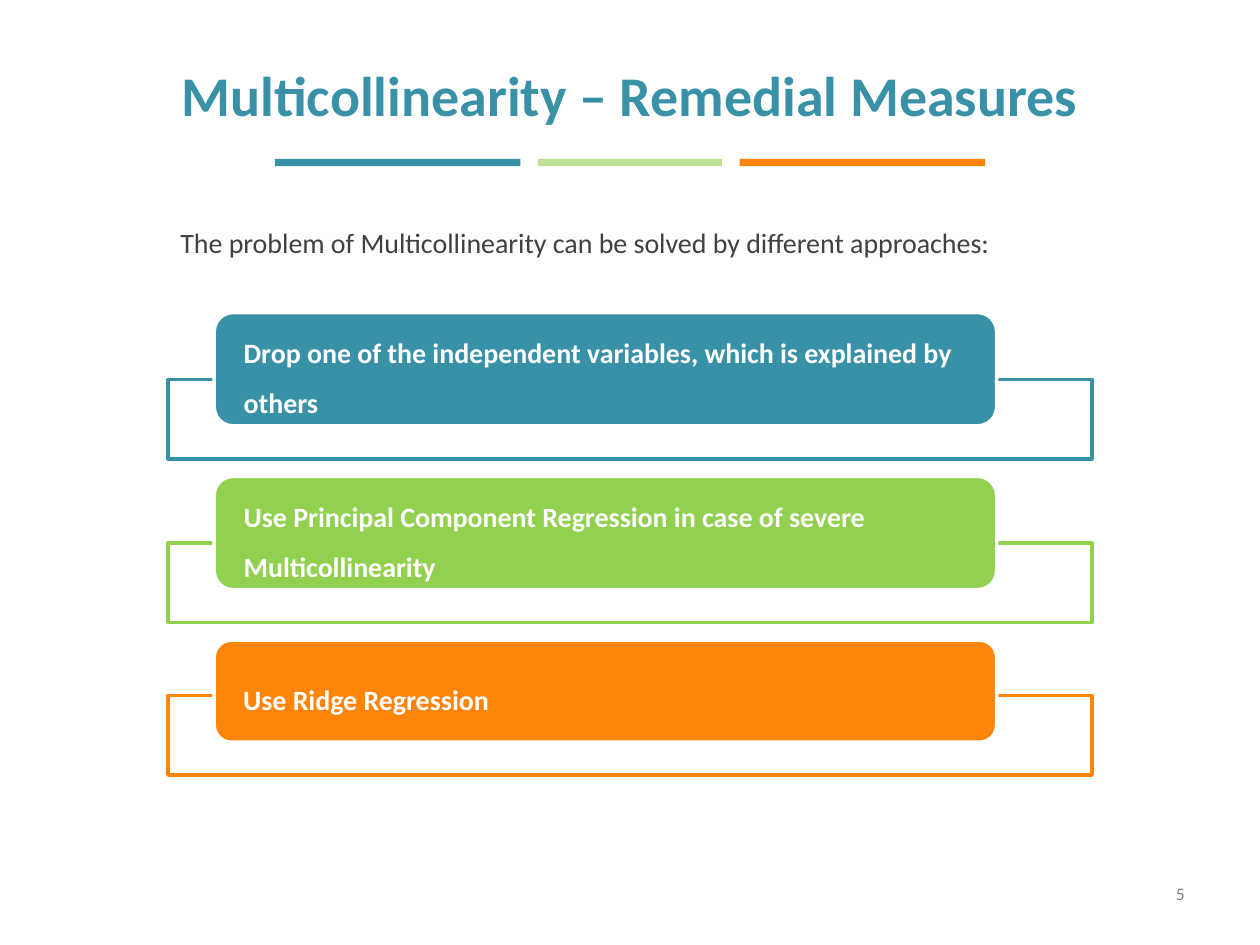
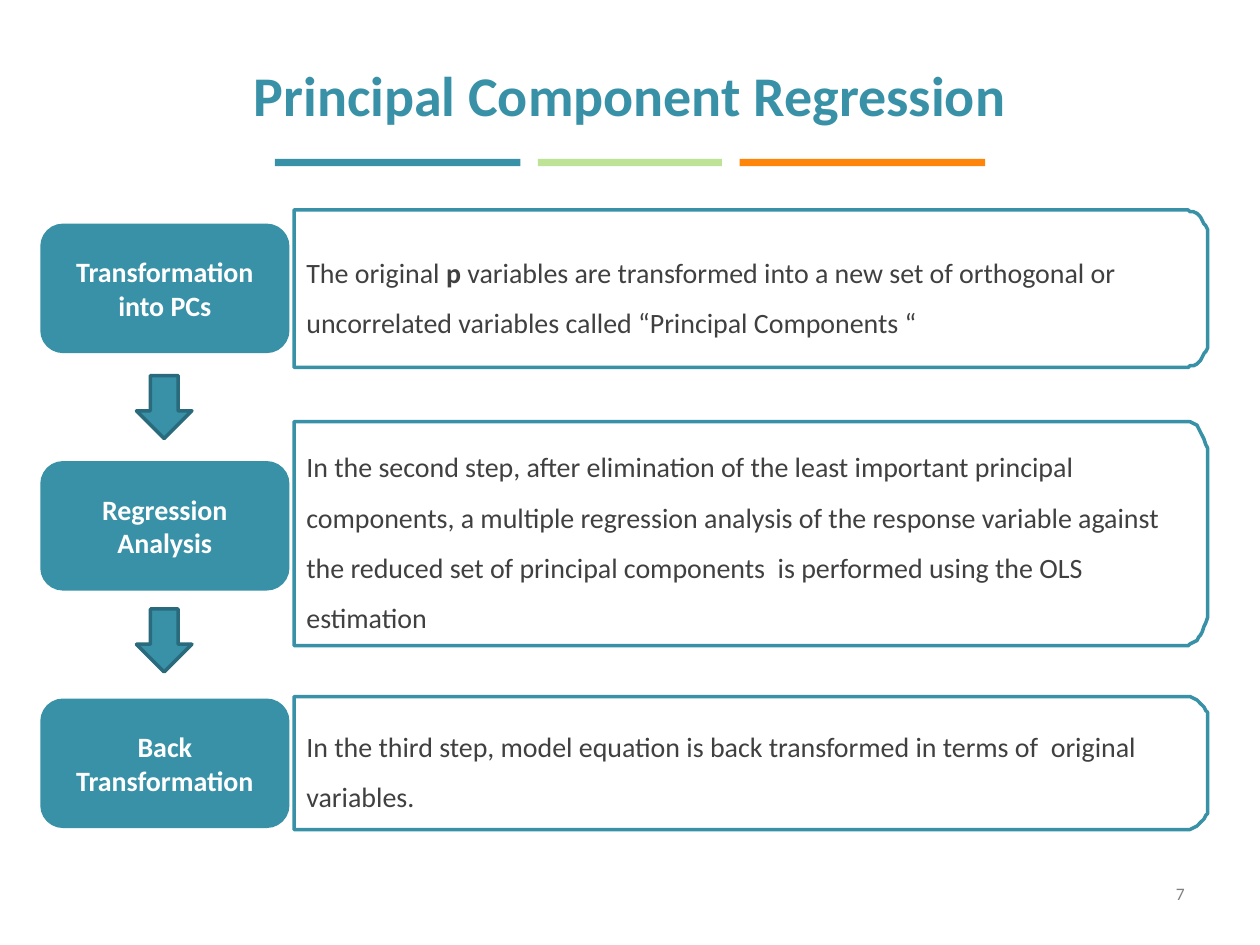
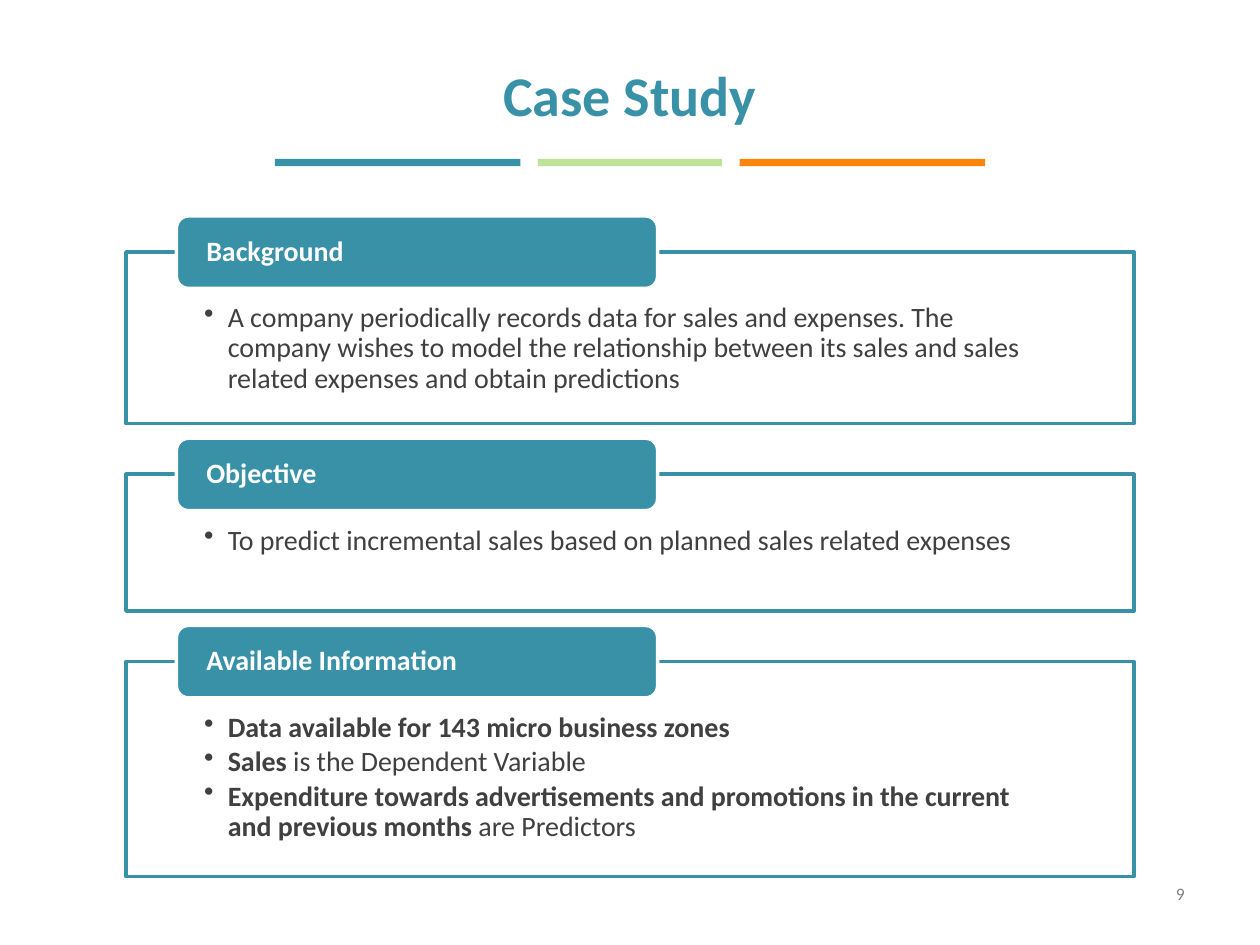
from dataclasses import dataclass
from math import cos, pi, sin

from lxml.etree import SubElement
from pptx import Presentation
from pptx.dml.color import RGBColor
from pptx.enum.shapes import MSO_SHAPE as Shape
from pptx.enum.text import MSO_ANCHOR as Anchor, PP_ALIGN as Align
from pptx.oxml.ns import qn
from pptx.util import Pt


@dataclass(frozen=True)
class Theme:
    font: str = "Calibri"
    teal: str = "3891A7"
    dark_teal: str = "296B7C"
    green: str = "92D050"
    pale_green: str = "BEE396"
    orange: str = "FF850A"
    white: str = "FFFFFF"
    text: str = "404040"
    muted: str = "808080"
    title_size: float = 32
    body_size: float = 16
    number_size: float = 10
    line_width: float = 2


class Deck:
    def __init__(self, theme):
        self.theme = theme
        self.presentation = Presentation()
        self.presentation.slide_width = Pt(720)
        self.presentation.slide_height = Pt(540)
        self.slide = None

    def start_slide(self, title, number):
        theme = self.theme
        layout = self.presentation.slide_layouts[5]
        self.slide = self.presentation.slides.add_slide(layout)
        heading = self.slide.shapes.title
        heading.left, heading.top = Pt(36), Pt(21.6)
        heading.width, heading.height = Pt(648), Pt(64)
        self.set_text(heading, [title], color=theme.teal, size=theme.title_size,
                      bold=True, align=Align.CENTER)
        bars = ((157, 140.4, theme.teal), (307.4, 105.2, theme.pale_green),
                (422.6, 140.4, theme.orange))
        for left, width, color in bars:
            self.box(Shape.RECTANGLE, left, 90.8, width, 4.2, color)
        self.label(number, 516.2, 491.8, 167.8, 37.4, color=theme.muted,
                   size=theme.number_size, align=Align.RIGHT, anchor=Anchor.MIDDLE)

    def box(self, kind, left, top, width, height, fill, line=None, opacity=None):
        shape = self.slide.shapes.add_shape(
            kind, Pt(left), Pt(top), Pt(width), Pt(height))
        return self.paint(shape, fill, line, opacity)

    def frame(self, left, top, width, height, line):
        return self.box(Shape.RECTANGLE, left, top, width, height,
                        self.theme.white, line, opacity=90)

    def rounded_panel(self, left, top, width, height):
        radius_x, radius_y = 13, height / 6
        right, bottom = left + width, top + height
        angles = [step * pi / 24 for step in range(13)]
        upper = [(right - radius_x + radius_x * sin(angle),
                  top + radius_y - radius_y * cos(angle)) for angle in angles]
        lower = [(x, top + bottom - y) for x, y in reversed(upper)]
        builder = self.slide.shapes.build_freeform(left, top, scale=Pt(1))
        builder.add_line_segments(upper + lower + [(left, bottom)], close=True)
        return self.paint(builder.convert_to_shape(), self.theme.white,
                          self.theme.teal, opacity=90)

    def paint(self, shape, fill, line, opacity):
        shape.shadow.inherit = False
        shape.fill.solid()
        shape.fill.fore_color.rgb = RGBColor.from_string(fill)
        if opacity is not None:
            color = shape._element.spPr.find(qn("a:solidFill"))[0]
            SubElement(color, qn("a:alpha"), val=str(opacity * 1000))
        if line is None:
            shape.line.fill.background()
        else:
            shape.line.color.rgb = RGBColor.from_string(line)
            shape.line.width = Pt(self.theme.line_width)
        return shape

    def label(self, text, left, top, width, height, **style):
        shape = self.slide.shapes.add_textbox(
            Pt(left), Pt(top), Pt(width), Pt(height))
        self.set_text(shape, [text], **style)

    def set_text(self, shape, paragraphs, color=None, size=None, bold=False,
                 align=Align.LEFT, anchor=Anchor.MIDDLE, insets=(7.2, 3.6, 7.2, 3.6),
                 line_spacing=None, space_after=None, bullets=False):
        frame = shape.text_frame
        frame.word_wrap = True
        frame.vertical_anchor = anchor
        (frame.margin_left, frame.margin_top,
         frame.margin_right, frame.margin_bottom) = map(Pt, insets)
        for index, content in enumerate(paragraphs):
            paragraph = frame.add_paragraph() if index else frame.paragraphs[0]
            paragraph.alignment = align
            if line_spacing is not None:
                paragraph.line_spacing = line_spacing
            if space_after is not None:
                paragraph.space_after = Pt(space_after)
            if bullets:
                self.add_bullet(paragraph)
            font = paragraph.font
            font.name = self.theme.font
            font.size = Pt(size or self.theme.body_size)
            font.color.rgb = RGBColor.from_string(color or self.theme.text)
            if isinstance(content, str):
                font.bold = bold
                paragraph.add_run().text = content
                continue
            for text, strong in content:
                run = paragraph.add_run()
                run.text = text
                run.font.bold = strong

    def add_bullet(self, paragraph):
        properties = paragraph._p.get_or_add_pPr()
        properties.set("marL", str(Pt(13.5)))
        properties.set("indent", str(Pt(-13.5)))
        SubElement(properties, qn("a:buChar"), char="•")

    def card(self, text, left, top, width, height, color, inset, line_spacing):
        shape = self.box(Shape.ROUNDED_RECTANGLE, left, top, width, height,
                         color, self.theme.white)
        self.set_text(shape, [text], color=self.theme.white, bold=True,
                      insets=(inset, 0, inset, 0), line_spacing=line_spacing,
                      space_after=5.6)


def remedial_measures(deck):
    theme = deck.theme
    deck.start_slide("Multicollinearity – Remedial Measures", "5")
    deck.label("The problem of Multicollinearity can be solved by different approaches:",
               96, 125.3, 528, 26.6, anchor=Anchor.TOP)
    measures = (
        ("Drop one of the independent variables, which is explained by others",
         64.8, theme.teal),
        ("Use Principal Component Regression in case of severe Multicollinearity",
         64.8, theme.green),
        ("Use Ridge Regression", 58.3, theme.orange),
    )
    for index, (text, height, color) in enumerate(measures):
        top = 178.6 + index * 93.6
        deck.frame(96, top + height - 26.6, 528, 45.4, color)
        deck.card(text, 122.4, top, 447.1, height, color, 13.7, 1.5)


def component_regression(deck):
    theme = deck.theme
    deck.start_slide("Principal Component Regression", "7")
    steps = (
        ("Transformation into PCs", 120, 90,
         [("The original ", False), ("p", True),
          (" variables are transformed into a new set of orthogonal or "
           "uncorrelated variables called “Principal Components “", False)]),
        ("Regression Analysis", 240.6, 128.3,
         "In the second step, after elimination of the least important principal "
         "components, a multiple regression analysis of the response variable "
         "against the reduced set of principal components  is performed using "
         "the OLS estimation"),
        ("Back Transformation", 398, 76,
         "In the third step, model equation is back transformed in terms of  "
         "original variables."),
    )
    for index, (name, top, height, description) in enumerate(steps):
        panel = deck.rounded_panel(168, top, 522, height)
        deck.set_text(panel, [description], insets=(7.2, 4.3, 4.3, 4.3),
                      line_spacing=1.5, space_after=2.4)
        step = deck.box(Shape.ROUNDED_RECTANGLE, 24, 128.8 + index * 135.7,
                        140.4, 72, theme.teal, theme.teal)
        deck.set_text(step, [name], color=theme.white, bold=True,
                      align=Align.CENTER)
    for index in range(len(steps) - 1):
        deck.box(Shape.DOWN_ARROW, 78, 214.6 + index * 133.4, 31.7, 36,
                 theme.teal, theme.dark_teal)


def case_study(deck):
    theme = deck.theme
    deck.start_slide("Case Study", "9")
    sections = (
        ("Background", 98.2,
         ["A company periodically records data for sales and expenses. The company "
          "wishes to model the relationship between its sales and sales related "
          "expenses and obtain predictions"]),
        ("Objective", 78.2,
         ["To predict incremental sales based on planned sales related expenses"]),
        ("Available Information", 123,
         [[("Data available for 143 micro business zones", True)],
          [("Sales", True), (" is the Dependent Variable", False)],
          [("Expenditure towards advertisements and promotions in the current "
            "and previous months", True), (" are Predictors", False)]]),
    )
    top = 144
    for name, height, points in sections:
        frame = deck.frame(72, top, 576, height, theme.teal)
        deck.set_text(frame, points, anchor=Anchor.TOP,
                      insets=(44.7, 29.5, 44.7, 8.6),
                      line_spacing=0.9, space_after=2.4, bullets=True)
        deck.card(name, 100.8, top - 20.6, 275, 41.4, theme.teal, 15.1, 0.9)
        top += height + 28.8


def main():
    deck = Deck(Theme())
    remedial_measures(deck)
    component_regression(deck)
    case_study(deck)
    deck.presentation.save("out.pptx")


if __name__ == "__main__":
    main()
